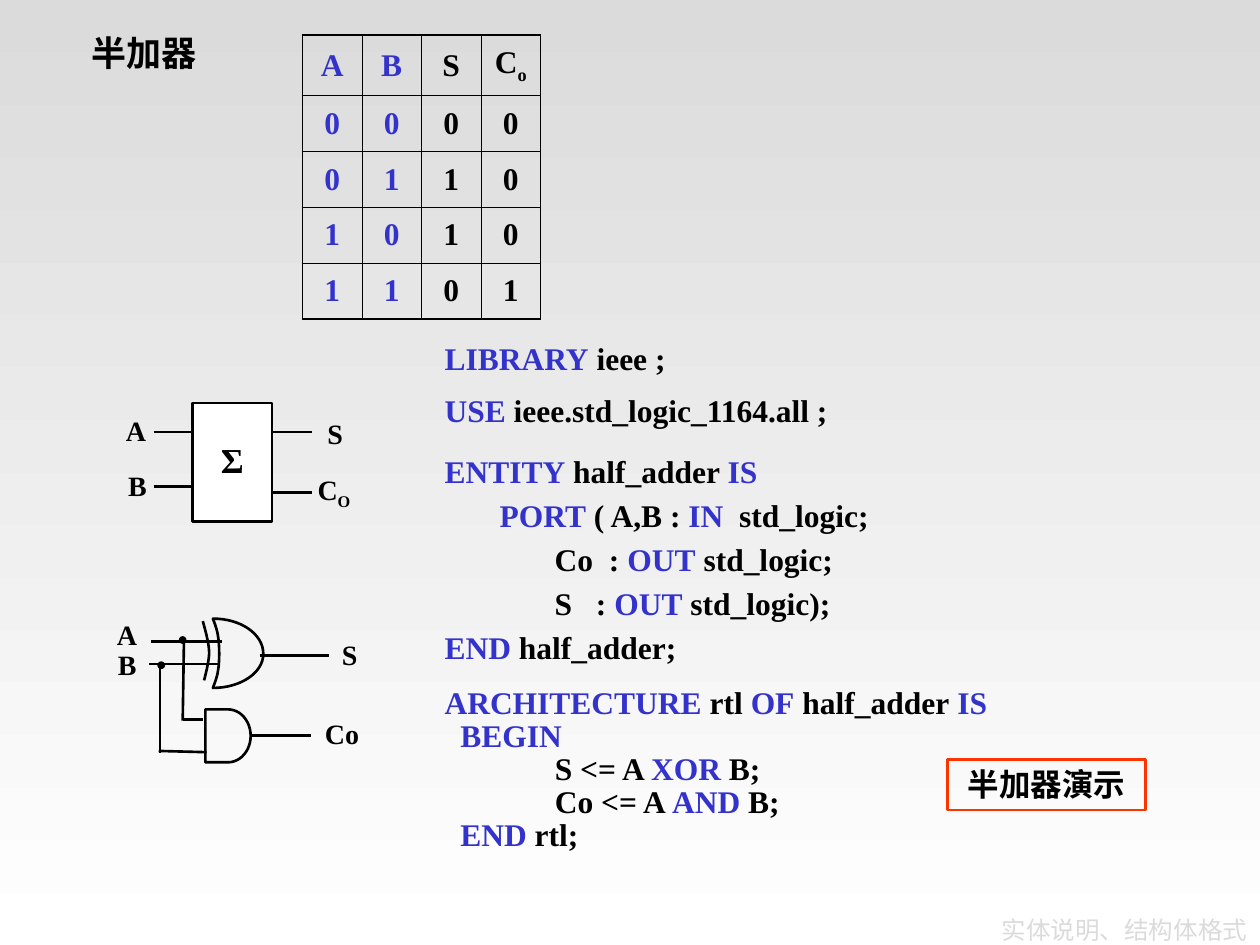
import dataclasses
import typing

import pptx
import pptx.dml.color
import pptx.enum.shapes
import pptx.enum.text
import pptx.oxml
import pptx.oxml.ns
import pptx.util

FONT = "Times New Roman"
BLACK, BLUE, WHITE, GREY, RED = "000000", "3333CC", "FFFFFF", "DBDBDB", "FF3300"
PRESET = pptx.enum.shapes.MSO_SHAPE
ALIGN = pptx.enum.text.PP_ALIGN
MIDDLE = pptx.enum.text.MSO_ANCHOR.MIDDLE

deck = pptx.Presentation()
deck.slide_width, deck.slide_height = pptx.util.Inches(10), pptx.util.Inches(7.5)
COLUMN, ROW = deck.slide_width / 100, deck.slide_height / 75  # layout grid


@dataclasses.dataclass
class Run:
    text: str
    color: str = BLACK
    subscript: bool = False


@dataclasses.dataclass
class Box:
    """A place on the grid, in columns and rows."""
    left: float
    top: float
    width: float
    height: float

    def emu(self) -> list[int]:
        return [round(self.left * COLUMN), round(self.top * ROW),
                round(self.width * COLUMN), round(self.height * ROW)]


@dataclasses.dataclass
class Label:
    box: Box
    runs: list[Run]
    size: float = 16


def rgb(value: str) -> pptx.dml.color.RGBColor:
    return pptx.dml.color.RGBColor.from_string(value)


def code_runs(line: str) -> list[Run]:
    """Split a line of code at asterisks; every second piece is a keyword."""
    return [Run(piece, BLUE if i % 2 else BLACK)
            for i, piece in enumerate(line.split("*")) if piece]


def write(frame: typing.Any, lines: list[list[Run]], size: float, align: typing.Any = ALIGN.CENTER,
          spacing: float = 1, before: float = 0, bold: bool = True) -> None:
    for i, runs in enumerate(lines):
        paragraph = frame.add_paragraph() if i else frame.paragraphs[0]
        paragraph.alignment, paragraph.line_spacing = align, spacing
        paragraph.space_before = pptx.util.Pt(before if i else 0)
        for part in runs:
            run = paragraph.add_run()
            run.text = part.text
            run.font.name, run.font.size, run.font.bold = FONT, pptx.util.Pt(size), bold
            run.font.color.rgb = rgb(part.color)
            if part.subscript:
                run.font._element.set("baseline", "-25000")


def add_text(shapes: typing.Any, box: Box, lines: list[list[Run]], size: float,
             inset: float = 0.05, **style: typing.Any) -> None:
    frame = shapes.add_textbox(*box.emu()).text_frame
    frame.word_wrap = True
    frame.margin_top = pptx.util.Inches(inset)
    write(frame, lines, size, **style)


def outline(shape: typing.Any, line: str = BLACK, fill: str | None = None) -> typing.Any:
    shape.shadow.inherit = False
    if fill:
        shape.fill.solid()
        shape.fill.fore_color.rgb = rgb(fill)
    else:
        shape.fill.background()
    shape.line.color.rgb, shape.line.width = rgb(line), pptx.util.Pt(1.5)
    return shape


def add_wire(shapes: typing.Any, x1: float, y1: float, x2: float, y2: float) -> typing.Any:
    wire = shapes.add_connector(pptx.enum.shapes.MSO_CONNECTOR.STRAIGHT, round(x1 * COLUMN),
                                round(y1 * ROW), round(x2 * COLUMN), round(y2 * ROW))
    wire.line.color.rgb, wire.line.width = rgb(BLACK), pptx.util.Pt(1.5)
    wire._element.spPr.append(pptx.oxml.parse_xml(f"<a:effectLst {pptx.oxml.ns.nsdecls('a')}/>"))
    return wire


def add_curve(shapes: typing.Any, points: list[tuple[float, float]], close: bool) -> None:
    """Draw chained cubic curves: a start, then three points for each curve."""
    steps, trace = 16, []
    for k in range(0, len(points) - 1, 3):
        for t in (n / steps for n in range(1, steps + 1)):
            weights = ((1 - t) ** 3, 3 * t * (1 - t) ** 2, 3 * t * t * (1 - t), t ** 3)
            trace.append(tuple(sum(w * p[axis] for w, p in zip(weights, points[k:k + 4]))
                               * (COLUMN, ROW)[axis] for axis in (0, 1)))
    builder = shapes.build_freeform(round(points[0][0] * COLUMN), round(points[0][1] * ROW))
    builder.add_line_segments(trace, close=close)
    outline(builder.convert_to_shape())


def add_truth_table(shapes: typing.Any, box: Box, rows: list[str]) -> None:
    count, last = len(rows), len(rows[0]) - 1
    table = shapes.add_table(count, last + 1, *box.emu()).table
    table.first_row = table.horz_banding = False
    for r, values in enumerate(rows):
        table.rows[r].height = round((4.8 if r == 0 else 4.43) * ROW)
        for c, value in enumerate(values):
            cell = table.cell(r, c)
            cell.vertical_anchor = MIDDLE
            properties = cell._tc.get_or_add_tcPr()
            for side, outer in (("L", c == 0), ("R", c == last), ("T", r == 0), ("B", r == count - 1)):
                properties.append(pptx.oxml.parse_xml(
                    f'<a:ln{side} {pptx.oxml.ns.nsdecls("a")} w="{13716 if outer else 5715}">'
                    f'<a:solidFill><a:srgbClr val="{BLACK}"/></a:solidFill></a:ln{side}>'))
            cell.fill.background()
            runs = [Run(value, BLUE if c < 2 else BLACK)]
            if value == "C":
                runs.append(Run("o", subscript=True))
            write(cell.text_frame, [runs], 18)


# Background and title
slide = deck.slides.add_slide(deck.slide_layouts[5])
backdrop = slide.background.fill
backdrop.gradient()
backdrop.gradient_angle = 270
for stop, shade in zip(backdrop.gradient_stops, (GREY, WHITE)):
    stop.color.rgb = rgb(shade)

title = slide.shapes.title
title.left, title.top, title.width, title.height = Box(73.2, 72.5, 26.8, 2.5).emu()
title.text_frame.auto_size = pptx.enum.text.MSO_AUTO_SIZE.NONE
title.text_frame.vertical_anchor = MIDDLE
write(title.text_frame, [[Run("实体说明、结构体格式", GREY)]], 14, ALIGN.RIGHT, bold=False)

# VHDL code
add_text(slide.shapes, Box(34.3, 26.5, 36.2, 7.5), [code_runs(line) for line in (
    "*LIBRARY* ieee ;",
    "*USE* ieee.std_logic_1164.all ;",
)], 18, inset=0.09, align=ALIGN.LEFT, spacing=0.85, before=11.2)
add_text(slide.shapes, Box(34.3, 36.3, 46.5, 20.5), [code_runs(line) for line in (
    "*ENTITY* half_adder *IS*",
    "       *PORT* ( A,B : *IN*  std_logic;",
    "              Co  : *OUT* std_logic;",
    "              S   : *OUT* std_logic);",
    "*END* half_adder;",
)], 18, align=ALIGN.LEFT, spacing=0.65, before=11.2)
add_text(slide.shapes, Box(34.3, 55.4, 46.5, 12.4), [code_runs(line) for line in (
    "*ARCHITECTURE *rtl *OF* half_adder* IS*",
    "  *BEGIN*",
    "\t      S <= A *XOR* B;",
    "\t      Co <= A *AND* B;",
    "*  END* rtl;",
)], 18, align=ALIGN.LEFT, spacing=0.35, before=11.2)

# Block symbol
symbol = slide.shapes.add_group_shape().shapes
outline(symbol.add_shape(PRESET.RECTANGLE, *Box(15.3, 32, 6.3, 9.4).emu()), fill=WHITE)
for start, end, y in ((12.2, 15.3, 38.6), (12.2, 15.3, 34.3), (21.6, 24.8, 39.1), (21.6, 24.8, 34.3)):
    add_wire(symbol, start, y, end, y)
for label in (
    Label(Box(9, 32.3, 3.1, 3.7), [Run("A")]),
    Label(Box(9, 36.7, 3.8, 3.7), [Run("B")]),
    Label(Box(23.5, 32.6, 6.2, 3.7), [Run("S")]),
    Label(Box(23.4, 37, 6.2, 4.1), [Run("C"), Run("O", subscript=True)]),
    Label(Box(15.3, 34.3, 6.3, 4.4), [Run("Σ")], 20),
):
    add_text(symbol, label.box, [label.runs], label.size)

# Truth table
add_truth_table(slide.shapes, Box(24, 2.8, 18.9, 22.5), ["ABSC", "0000", "0110", "1010", "1101"])

# Gate circuit
circuit = slide.shapes.add_group_shape().shapes
and_gate = outline(circuit.add_shape(PRESET.FLOWCHART_DELAY, *Box(16.3, 56.3, 3.6, 4.2).emu()))
add_wire(circuit, 19.9, 58.4, 24.7, 58.4).begin_connect(and_gate, 3)
for ends in (
    (12.6, 59.6, 16.4, 59.7), (14.5, 57.1, 16.1, 57.1), (20.6, 52, 26.1, 52),
    (17.3, 52.7, 11.8, 52.7), (17.6, 50.9, 12, 50.9),
    (14.6, 50.9, 14.5, 57.2), (12.7, 52.8, 12.7, 59.8),
):
    add_wire(circuit, *ends)
for left, top in ((12.6, 52.6), (14.3, 50.6)):
    outline(circuit.add_shape(PRESET.OVAL, *Box(left, top, 0.4, 0.4).emu()), fill=BLACK)
add_curve(circuit, [(16.9, 49.1), (17.2, 49.9), (17.4, 50.4), (17.4, 51.9), (17.4, 53.3),
                    (17.2, 53.8), (16.9, 54.6), (19.1, 54.6), (20.9, 53.4), (20.9, 51.9),
                    (20.9, 50.3), (19.1, 49.1), (16.9, 49.1)], close=True)
add_curve(circuit, [(16.1, 49.3), (16.2, 49.7), (16.6, 51), (16.6, 51.8),
                    (16.6, 52.5), (16.3, 53.6), (16.2, 54)], close=False)
for label in (
    Label(Box(8.3, 48.5, 3.1, 3.7), [Run("A")]),
    Label(Box(8.3, 50.9, 3.6, 3.7), [Run("B")]),
    Label(Box(25.6, 50.1, 4.3, 3.7), [Run("S")]),
    Label(Box(24, 56.4, 6.3, 3.7), [Run("Co")]),
):
    add_text(circuit, label.box, [label.runs], label.size)

# Heading and demo box
add_text(slide.shapes, Box(4.3, 2.1, 14.2, 4.3), [[Run("半加器")]], 20, inset=0.09, spacing=0.85)
demo = outline(slide.shapes.add_shape(PRESET.RECTANGLE, *Box(75.2, 60.3, 15.7, 4).emu()), line=RED)
demo.text_frame.margin_top = pptx.util.Inches(0.09)
demo.text_frame.vertical_anchor = pptx.enum.text.MSO_ANCHOR.TOP
write(demo.text_frame, [[Run("半加器演示")]], 18, spacing=0.85)

deck.save("out.pptx")
